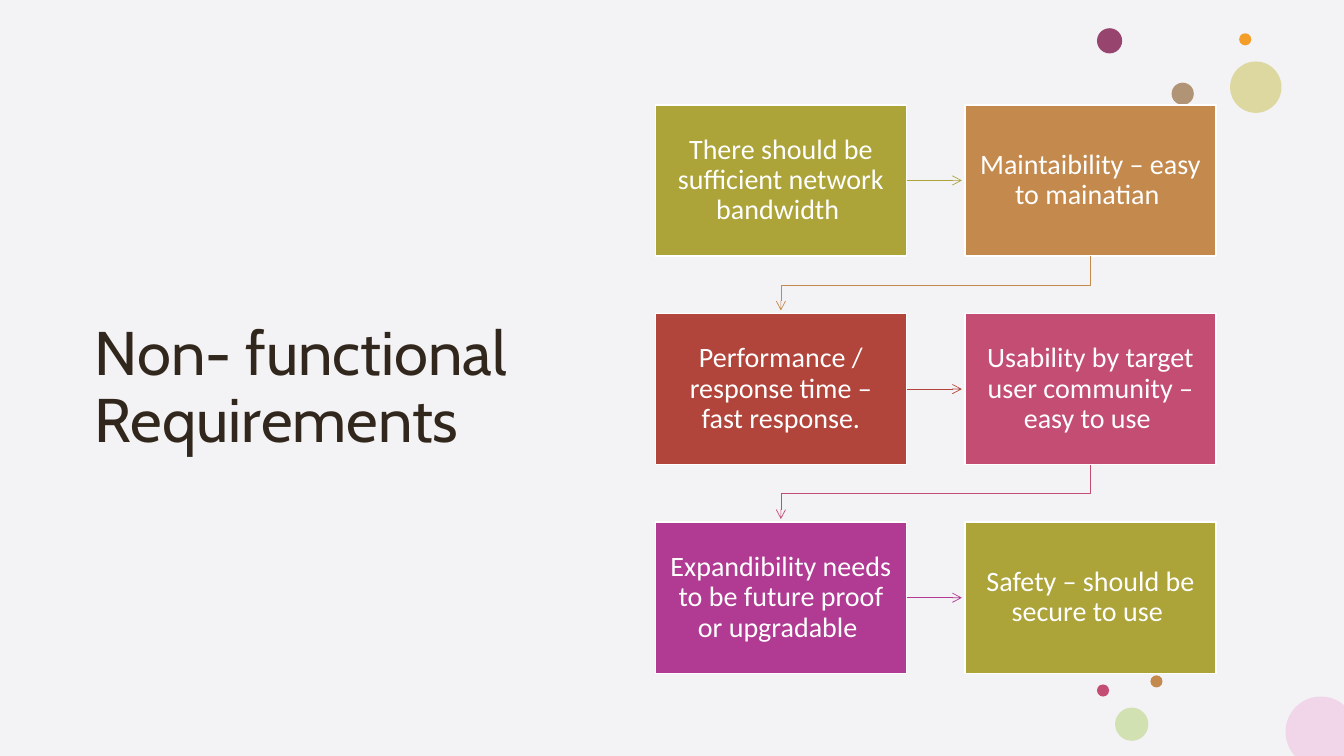
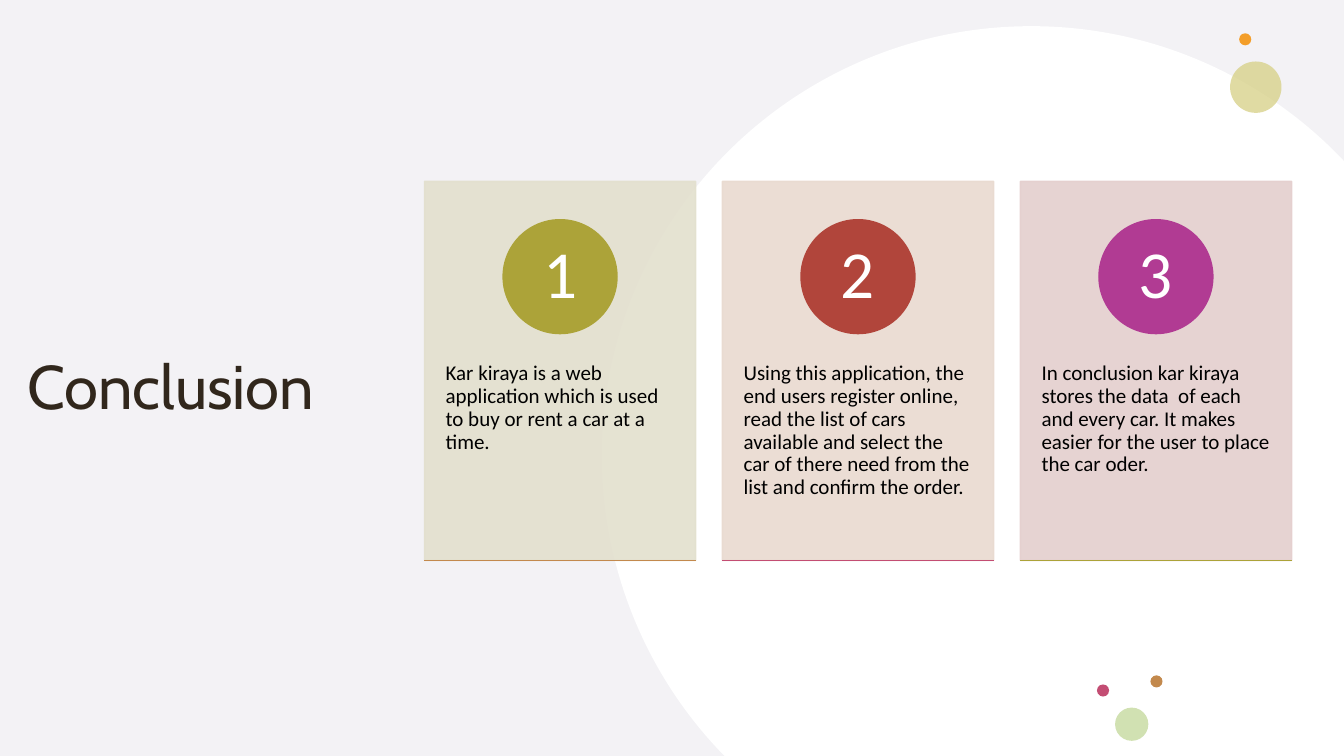
import math
import lxml.etree
import pptx
import pptx.util
import pptx.dml.color
import pptx.enum.shapes
import pptx.enum.text
import pptx.oxml.ns

Inches = pptx.util.Inches
qn = pptx.oxml.ns.qn
SHAPES = pptx.enum.shapes.MSO_SHAPE
CONNECTORS = pptx.enum.shapes.MSO_CONNECTOR
ALIGN = pptx.enum.text.PP_ALIGN
ANCHOR = pptx.enum.text.MSO_ANCHOR

WIDTH, HEIGHT = 13.33, 7.5

THEME = {
    "veil": "D8D5DE", "ink": "31271C", "black": "000000", "white": "FFFFFF",
    "olive": "ACA339", "tan": "C3894D", "red": "B1453B", "rose": "C34D73",
    "purple": "B13B93", "plum": "97446E", "sand": "D5CE80", "orange": "F39E29",
    "brown": "B09475", "green": "D1E1B2", "pink": "F1D6EA",
    "olive tint": "E3E0CE", "tan tint": "E9DAD0", "red tint": "E4CFCE",
    "title": {"name": "Cabin", "size": pptx.util.Pt(44)},
    "step": {"name": "Calibri", "size": pptx.util.Pt(20)},
    "card": {"name": "Calibri", "size": pptx.util.Pt(15)},
    "number": {"name": "Calibri", "size": pptx.util.Pt(48)},
}


def paint(shape, fill, opacity=100, line=None):
    shape.shadow.inherit = False
    shape.fill.solid()
    shape.fill.fore_color.rgb = pptx.dml.color.RGBColor.from_string(THEME[fill])
    if line:
        shape.line.color.rgb = pptx.dml.color.RGBColor.from_string(THEME[line])
        shape.line.width = pptx.util.Pt(1)
    else:
        shape.line.fill.background()
    if opacity < 100:
        for color in shape._element.spPr.iter(qn("a:srgbClr")):
            lxml.etree.SubElement(color, qn("a:alpha"), val=str(opacity * 1000))


def write(box, text, style, color, align, anchor, margins):
    frame = box.text_frame
    frame.text = text
    sides = dict(zip(("margin_left", "margin_top", "margin_right", "margin_bottom"),
                     map(Inches, margins)))
    layout = {"word_wrap": True, "vertical_anchor": anchor,
              "auto_size": pptx.enum.text.MSO_AUTO_SIZE.NONE}
    for name, value in {**sides, **layout}.items():
        setattr(frame, name, value)
    para = frame.paragraphs[0]
    para.alignment = align
    para.line_spacing = 0.9
    span = para.runs[0]
    for name, value in THEME[style].items():
        setattr(span.font, name, value)
    span.font.color.rgb = pptx.dml.color.RGBColor.from_string(THEME[color])


deck = pptx.Presentation()
deck.slide_width, deck.slide_height = Inches(WIDTH), Inches(HEIGHT)

shared_dots = [
    (12.2, 0.61, 0.51, "sand", 72),
    (12.29, 0.33, 0.12, "orange", 100),
    (11.41, 6.7, 0.12, "tan", 100),
    (11.06, 7.02, 0.33, "green", 100),
    (10.88, 6.79, 0.12, "rose", 100),
]
extra_dots = [
    (10.88, 0.28, 0.25, "plum", 100),
    (11.62, 0.82, 0.22, "brown", 100),
]
page_plans = [
    ("Non- functional Requirements", 0.84, (13.1, 7.26, 0.35, "pink"), shared_dots + extra_dots),
    ("Conclusion", 0.17, (10.23, 4.52, 4.26, "white"), shared_dots),
]

pages = []
for title, left, (center_x, center_y, radius, disc_color), dots in page_plans:
    page = deck.slides.add_slide(deck.slide_layouts[5])
    pages.append(page)
    heading = page.shapes.title
    veil = page.shapes.add_shape(SHAPES.RECTANGLE, 0, 0, deck.slide_width, deck.slide_height)
    paint(veil, "veil", 30)
    heading._element.addprevious(veil._element)
    place = {"left": left, "top": 1.04, "width": 5.88 - left, "height": 5.64}
    for name, value in place.items():
        setattr(heading, name, Inches(value))
    write(heading, title, "title", "ink", ALIGN.LEFT, ANCHOR.MIDDLE, (0.1, 0.05, 0.1, 0.05))

    bottom_angle = math.pi - math.asin((HEIGHT - center_y) / radius)
    right_angle = 2 * math.pi - math.acos((WIDTH - center_x) / radius)
    angles = [bottom_angle, math.pi, 1.5 * math.pi, right_angle]
    corners = [(center_x + radius * math.cos(angle), center_y + radius * math.sin(angle))
               for angle in angles] + [(WIDTH, HEIGHT)]
    corners = [(Inches(x), Inches(y)) for x, y in corners]
    builder = page.shapes.build_freeform(*corners[0], scale=1.0)
    builder.add_line_segments(corners[1:], close=True)
    disc = builder.convert_to_shape()
    paint(disc, disc_color)
    segments = list(disc._element.iter(qn("a:lnTo")))
    for segment, start, end in zip(segments, angles, angles[1:]):
        reach = 4 / 3 * math.tan((end - start) / 4)
        curve = lxml.etree.Element(qn("a:cubicBezTo"))
        for angle, pull in ((start, reach), (end, -reach), (end, 0)):
            x = center_x + radius * (math.cos(angle) - pull * math.sin(angle))
            y = center_y + radius * (math.sin(angle) + pull * math.cos(angle))
            lxml.etree.SubElement(curve, qn("a:pt"), x=str(Inches(x) - disc.left),
                                  y=str(Inches(y) - disc.top))
        segment.getparent().replace(segment, curve)

    for x, y, size, color, opacity in dots:
        dot = page.shapes.add_shape(SHAPES.OVAL, Inches(x), Inches(y), Inches(size), Inches(size))
        paint(dot, color, opacity)

flow_page, cards_page = pages
lines = []

steps = [
    ("There should be sufficient network bandwidth ", "olive"),
    ("Maintaibility – easy to mainatian ", "tan"),
    ("Performance / response time – fast response.", "red"),
    ("Usability by target user community – easy to use ", "rose"),
    ("Expandibility needs to be future proof or upgradable ", "purple"),
    ("Safety – should be secure to use ", "olive"),
]
step_width, step_height = 2.49, 1.5
column_pitch, row_pitch = 3.07, 2.07
arrow_length = 0.54
for index, (text, color) in enumerate(steps):
    row, column = divmod(index, 2)
    left = 6.5 + column * column_pitch
    top = 1.04 + row * row_pitch
    step = flow_page.shapes.add_shape(
        SHAPES.RECTANGLE, Inches(left), Inches(top), Inches(step_width), Inches(step_height))
    paint(step, color, line="white")
    write(step, text, "step", "white", ALIGN.CENTER, ANCHOR.MIDDLE, (0.12, 0.13, 0.12, 0.13))
    if index == len(steps) - 1:
        continue
    if column == 0:
        start, middle = left + step_width + 0.01, top + step_height / 2
        arrow = flow_page.shapes.add_connector(
            CONNECTORS.STRAIGHT, Inches(start), Inches(middle),
            Inches(start + arrow_length), Inches(middle))
    else:
        center_x = left + step_width / 2 - column_pitch / 2
        center_y = top + step_height + arrow_length / 2
        arrow = flow_page.shapes.add_connector(
            CONNECTORS.ELBOW,
            Inches(center_x - arrow_length / 2), Inches(center_y - column_pitch / 2),
            Inches(center_x + arrow_length / 2), Inches(center_y + column_pitch / 2))
        arrow.rotation = 90
        bend = next(arrow._element.iter(qn("a:avLst")))
        lxml.etree.SubElement(bend, qn("a:gd"), name="adj1", fmla="val 53700")
    lines.append((arrow, color, 0.5, True))

cards = [
    ("Kar kiraya is a web application which is used to buy or rent a car at a time.",
     "olive tint", "olive", "tan"),
    ("Using this application, the end users register online, read the list of cars available "
     "and select the car of there need from the list and confirm the order.",
     "tan tint", "red", "rose"),
    ("In conclusion kar kiraya stores the data  of each and every car. "
     "It makes easier for the user to place the car oder.",
     "red tint", "purple", "olive"),
]
card_top, card_width, card_height, badge_size = 1.8, 2.69, 3.76, 1.13
card_pitch = (10.12 - 4.21) / 2
for index, (text, tint, badge_color, rule_color) in enumerate(cards):
    left = 4.21 + index * card_pitch
    bottom = card_top + card_height
    card = cards_page.shapes.add_shape(
        SHAPES.RECTANGLE, Inches(left), Inches(card_top), Inches(card_width), Inches(card_height))
    paint(card, tint, 90, line=tint)
    write(card, text, "card", "black", ALIGN.LEFT, ANCHOR.TOP, (0.21, 1.8, 0.21, 0.36))
    badge = cards_page.shapes.add_shape(
        SHAPES.OVAL, Inches(left + (card_width - badge_size) / 2), Inches(2.18),
        Inches(badge_size), Inches(badge_size))
    paint(badge, badge_color, line=badge_color)
    write(badge, str(index + 1), "number", "white", ALIGN.CENTER, ANCHOR.MIDDLE,
          (0.09, 0.01, 0.09, 0.01))
    rule = cards_page.shapes.add_connector(
        CONNECTORS.STRAIGHT, Inches(left), Inches(bottom), Inches(left + card_width), Inches(bottom))
    lines.append((rule, rule_color, 1, False))

for connector, color, weight, has_head in lines:
    connector.line.color.rgb = pptx.dml.color.RGBColor.from_string(THEME[color])
    connector.line.width = pptx.util.Pt(weight)
    properties = connector._element.spPr
    if has_head:
        lxml.etree.SubElement(properties.find(qn("a:ln")), qn("a:tailEnd"), type="arrow")
    lxml.etree.SubElement(properties, qn("a:effectLst"))

deck.save("out.pptx")
